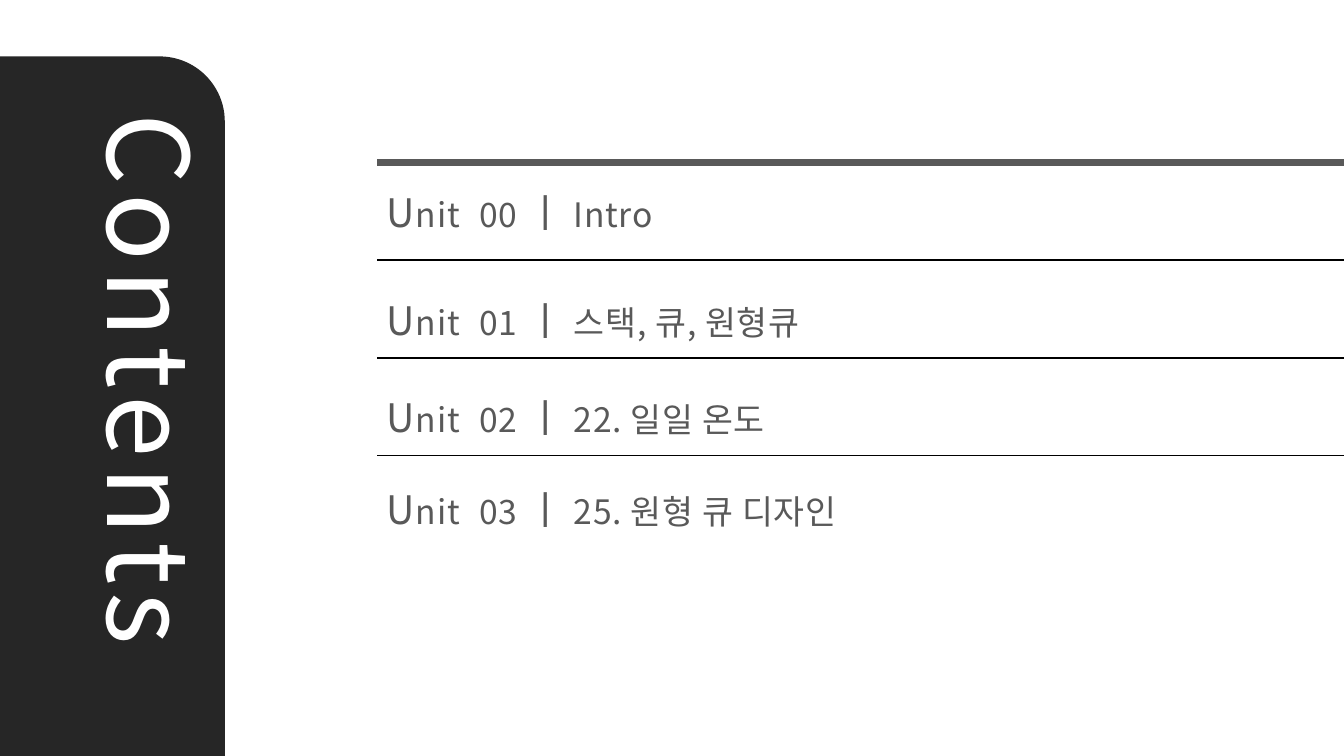
from pptx import Presentation
from pptx.dml.color import RGBColor
from pptx.enum.shapes import MSO_CONNECTOR, MSO_SHAPE
from pptx.enum.text import MSO_ANCHOR
from pptx.oxml.ns import qn
from pptx.util import Inches, Pt
from lxml.etree import SubElement

FONT = "Noto Sans CJK KR"
DARK = RGBColor(0x26, 0x26, 0x26)
GRAY = RGBColor(0x59, 0x59, 0x59)
BLACK = RGBColor(0, 0, 0)
WHITE = RGBColor(255, 255, 255)

prs = Presentation()
prs.slide_width = Inches(13.33)
prs.slide_height = Inches(7.5)
slide = prs.slides.add_slide(prs.slide_layouts[6])
shapes = slide.shapes


def add_run(para, text, size=24, color=GRAY, gap=0.5):
    """Append a run; gap is the letter spacing in points."""
    run = para.add_run()
    run.text = text
    font = run.font
    font.size = Pt(size)
    font.color.rgb = color
    font.name = FONT
    props = run._r.get_or_add_rPr()
    props.set("spc", str(round(gap * 100)))
    SubElement(props, qn("a:ea")).set("typeface", FONT)


def add_box(left, top, width, height):
    """Add a wrapping text box."""
    box = shapes.add_textbox(Inches(left), Inches(top), Inches(width), Inches(height))
    box.text_frame.word_wrap = True
    return box


# Side panel with the vertical title
panel = shapes.add_shape(MSO_SHAPE.ROUND_1_RECTANGLE,
                         Inches(0), Inches(0.56), Inches(2.23), Inches(6.94))
panel.adjustments[0] = 0.29
panel.shadow.inherit = False
panel.fill.solid()
panel.fill.fore_color.rgb = DARK
panel.line.fill.background()

title = add_box(-1.98, 3.79, 6.97, 1.45)
title.rotation = 90
add_run(title.text_frame.paragraphs[0], "Contents", size=80, color=WHITE, gap=6)

# Units, each below its rule
units = [
    (1.72, "Intro"),
    (2.79, "스택, 큐, 원형큐"),
    (3.75, "22. 일일 온도"),
    (4.66, "25. 원형 큐 디자인"),
]
for num, (top, topic) in enumerate(units):
    y = Inches(1.61 + 0.97 * num)
    rule = shapes.add_connector(MSO_CONNECTOR.STRAIGHT, Inches(3.74), y, Inches(13.33), y)
    rule.line.color.rgb = BLACK if num else GRAY
    rule.line.width = Pt(1 if num else 5)
    SubElement(rule._element.spPr, qn("a:effectLst"))

    frame = add_box(3.74, top, 9.43, 0.77).text_frame
    frame.vertical_anchor = MSO_ANCHOR.MIDDLE
    para = frame.paragraphs[0]
    add_run(para, "U", size=28)
    add_run(para, "nit")
    add_run(para, " ", size=28, gap=7.3)
    add_run(para, f"{num:02}")
    add_run(para, " ㅣ ", size=28)
    add_run(para, topic)

prs.save("out.pptx")
